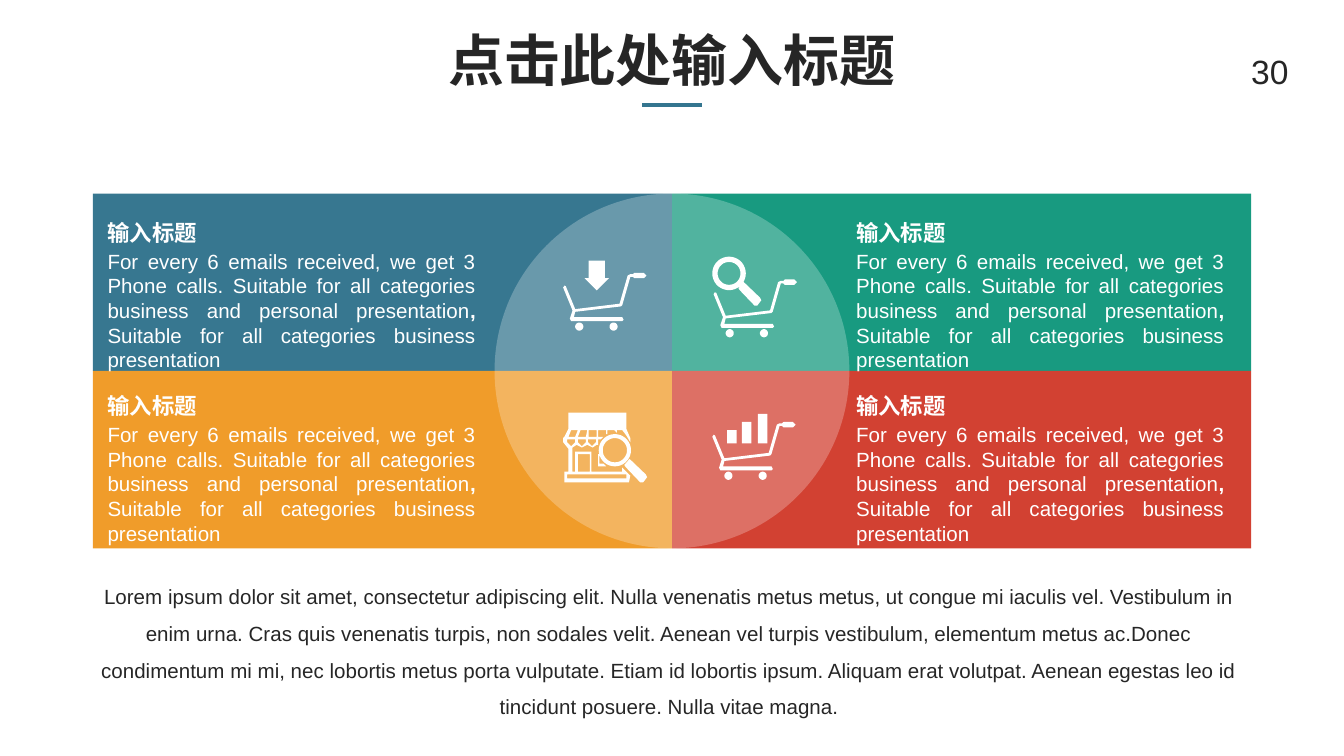
import math

import pptx
import pptx.dml.color
import pptx.enum.shapes
import pptx.enum.text
import pptx.util
from lxml import etree
from pptx.oxml.ns import qn

COLORS = {
    "blue": "377790", "green": "189A80", "orange": "F09C2A", "red": "D24132",
    "rule": "34758F", "ink": "262626", "white": "FFFFFF",
}
ALIGN = pptx.enum.text.PP_ALIGN
SHAPES = pptx.enum.shapes.MSO_SHAPE
inch = pptx.util.Inches

WIDTH = 10
HEIGHT = WIDTH * 9 / 16
LEFT, TOP = 0.69, 1.44
COLUMN, ROW = WIDTH / 2 - LEFT, 1.32

deck = pptx.Presentation()
deck.slide_width, deck.slide_height = inch(WIDTH), inch(HEIGHT)
page = deck.slides.add_slide(deck.slide_layouts[6])


def rgb(name):
    return pptx.dml.color.RGBColor.from_string(COLORS[name])


def add_text(left, top, width, height, spans, size, color, align=ALIGN.LEFT, wrap=True):
    """Add a one-paragraph box; spans are (text, bold) pairs."""
    box = page.shapes.add_textbox(inch(left), inch(top), inch(width), inch(height))
    frame = box.text_frame
    frame.word_wrap = wrap
    frame.margin_left = frame.margin_right = inch(0.07)
    frame.margin_top = frame.margin_bottom = inch(0.04)
    para = frame.paragraphs[0]
    para.alignment = align
    for text, bold in spans:
        span = para.add_run()
        span.text = text
        span.font.name = "Arial"
        span.font.size = pptx.util.Pt(size)
        span.font.bold = bold
        span.font.color.rgb = rgb(color)
    return para


# Title, rule and page number
add_text(LEFT, 0.15, 2 * COLUMN, 0.71, [("点击此处输入标题", True)], 30, "ink", ALIGN.CENTER)
rule = page.shapes.add_connector(pptx.enum.shapes.MSO_CONNECTOR.STRAIGHT,
                                 inch(4.78), inch(0.78), inch(5.22), inch(0.78))
rule.line.color.rgb = rgb("rule")
rule.line.width = pptx.util.Pt(2)
etree.SubElement(rule._element.spPr, qn("a:effectLst"))
add_text(9.24, 0.34, 0.53, 0.3, [("30", False)], 18, "ink")

# Four panels under a translucent disc
blocks = []
for index, color in enumerate(["blue", "green", "orange", "red"]):
    row, column = divmod(index, 2)
    blocks.append((SHAPES.RECTANGLE, LEFT + column * COLUMN, TOP + row * ROW, COLUMN, ROW, color))
blocks.append((SHAPES.OVAL, WIDTH / 2 - ROW, TOP, 2 * ROW, 2 * ROW, "white"))
for kind, left, top, width, height, color in blocks:
    block = page.shapes.add_shape(kind, inch(left), inch(top), inch(width), inch(height))
    block.shadow.inherit = False
    block.fill.solid()
    block.fill.fore_color.rgb = rgb(color)
    block.line.fill.background()
disc_color = block._element.spPr.find(qn("a:solidFill"))[0]
etree.SubElement(disc_color, qn("a:alpha"), val="25000")

# Panel texts
panel_spans = [
    ("For every 6 emails received, we get 3 Phone calls. Suitable for all categories "
     "business and personal presentation", False),
    (", ", True),
    ("Suitable for all categories business presentation", False),
]
for left in (0.73, 6.3):
    for top in (1.59, 2.88):
        add_text(left, top + 0.22, 2.88, 1, panel_spans, 11, "white", ALIGN.JUSTIFY)
        add_text(left, top, 0.82, 0.28, [("输入标题", True)], 12, "white", wrap=False)

summary = add_text(0.65, 4.21, 8.66, 1.19, [(
    "Lorem ipsum dolor sit amet, consectetur adipiscing elit. Nulla venenatis metus metus, "
    "ut congue mi iaculis vel. Vestibulum in enim urna. Cras quis venenatis turpis, non sodales "
    "velit. Aenean vel turpis vestibulum, elementum metus ac.Donec condimentum mi mi, nec "
    "lobortis metus porta vulputate. Etiam id lobortis ipsum. Aliquam erat volutpat. Aenean "
    "egestas leo id tincidunt posuere. Nulla vitae magna.", False)], 11, "ink", ALIGN.CENTER)
summary.line_spacing = 1.5

# Icon outlines, in hundredths of an inch from each icon's own corner
circles = {}
for name, x, y, radius in [
    ("rear wheel", 12, 40, 3), ("front wheel", 37.5, 40, 3),
    ("cart lens rim", 11.5, -4.5, 12.5), ("cart lens glass", 11.5, -4.5, 8.5),
    ("shop lens rim", 38.5, 28, 12), ("shop lens glass", 38.5, 28, 9),
]:
    turns = [math.tau * step / 36 for step in range(36)]
    circles[name] = [(x + radius * math.cos(t), y + radius * math.sin(t)) for t in turns]

lens_grip = [(11, 6.5), (23, 18), (24, 20), (21, 24), (19, 24), (8, 12.5), (7, 11)]
cart_lens = [circles["cart lens rim"], circles["cart lens glass"],
             [(x + 11.5, y - 4.5) for x, y in lens_grip]]
shop_lens = [circles["shop lens rim"], circles["shop lens glass"],
             [(x + 38.5, y + 28) for x, y in lens_grip]]

cart = [
    [(60, 0), (53, 0), (52, 1), (50, 1), (48, 2), (42, 23), (9, 27), (2, 10), (1, 9.5), (0, 11),
     (7, 28), (5, 34), (6, 36), (44, 36), (45, 35), (44, 33), (8, 33), (9, 29), (43, 25),
     (44, 24), (50, 3), (52, 3), (53, 4), (60, 4), (62, 2)],
    circles["rear wheel"], circles["front wheel"],
]
arrow = [[(34, 4), (31, 4), (31, -9), (19, -9), (19, 4), (16, 4), (25, 13)]]
bars = [[(x, top), (x + 7, top), (x + 7, 16), (x, 16)] for x, top in [(11, 6), (22, 0), (34, -6)]]

shop = [
    # Walls, awning edge and sign
    [(44, 44), (21, 44), (21, 29), (9, 29), (9, 44), (7, 44), (7, 26), (10, 24), (14, 26),
     (18, 24), (22, 26), (25, 24), (26, 24), (26, 20), (28, 20), (30, 18), (26, 18), (26, 13),
     (32, 13), (32, 16), (33, 16), (33, 13), (38, 13), (40, 15), (40, 13), (44, 13), (47, 17),
     (50, 22), (50, 19), (47, 12), (47, 0), (4, 0), (4, 12), (1, 18), (0, 19), (0, 22), (4, 27),
     (4, 44), (1, 44), (1, 52), (49, 52), (50, 47), (44, 41)],
    # Awning stripes
    [(6, 13), (11, 13), (9, 18), (4, 18)],
    [(13, 13), (18, 13), (17, 18), (11, 18)],
    [(19, 13), (25, 13), (25, 18), (19, 18)],
    # Door, step and window corner
    [(11, 31), (20, 31), (20, 44), (11, 44)],
    [(3, 46), (47, 46), (47, 49), (3, 49)],
    [(27, 31), (27, 38), (30, 38), (32, 40), (26, 40), (26, 31)],
]
shop += [[(x, 20), (x + 6, 20), (x + 6, 22), (x + 3, 25), (x, 22)] for x in (3, 11, 18.5)]

for left, top, outlines in [
    (530, 314, cart + bars), (531, 208, cart + cart_lens),
    (419, 203, cart + arrow), (419, 307, shop + shop_lens),
]:
    # Tenths of a unit keep the curves smooth, as the builder rounds to whole numbers
    outlines = [[((left + x) * 10, (top + y) * 10) for x, y in outline] for outline in outlines]
    builder = page.shapes.build_freeform(*outlines[0][0], scale=inch(1) / 1000)
    builder.add_line_segments(outlines[0][1:], close=True)
    for outline in outlines[1:]:
        builder.move_to(*outline[0])
        builder.add_line_segments(outline[1:], close=True)
    icon = builder.convert_to_shape()
    icon.shadow.inherit = False
    icon.fill.solid()
    icon.fill.fore_color.rgb = rgb("white")
    icon.line.fill.background()

deck.save("out.pptx")
